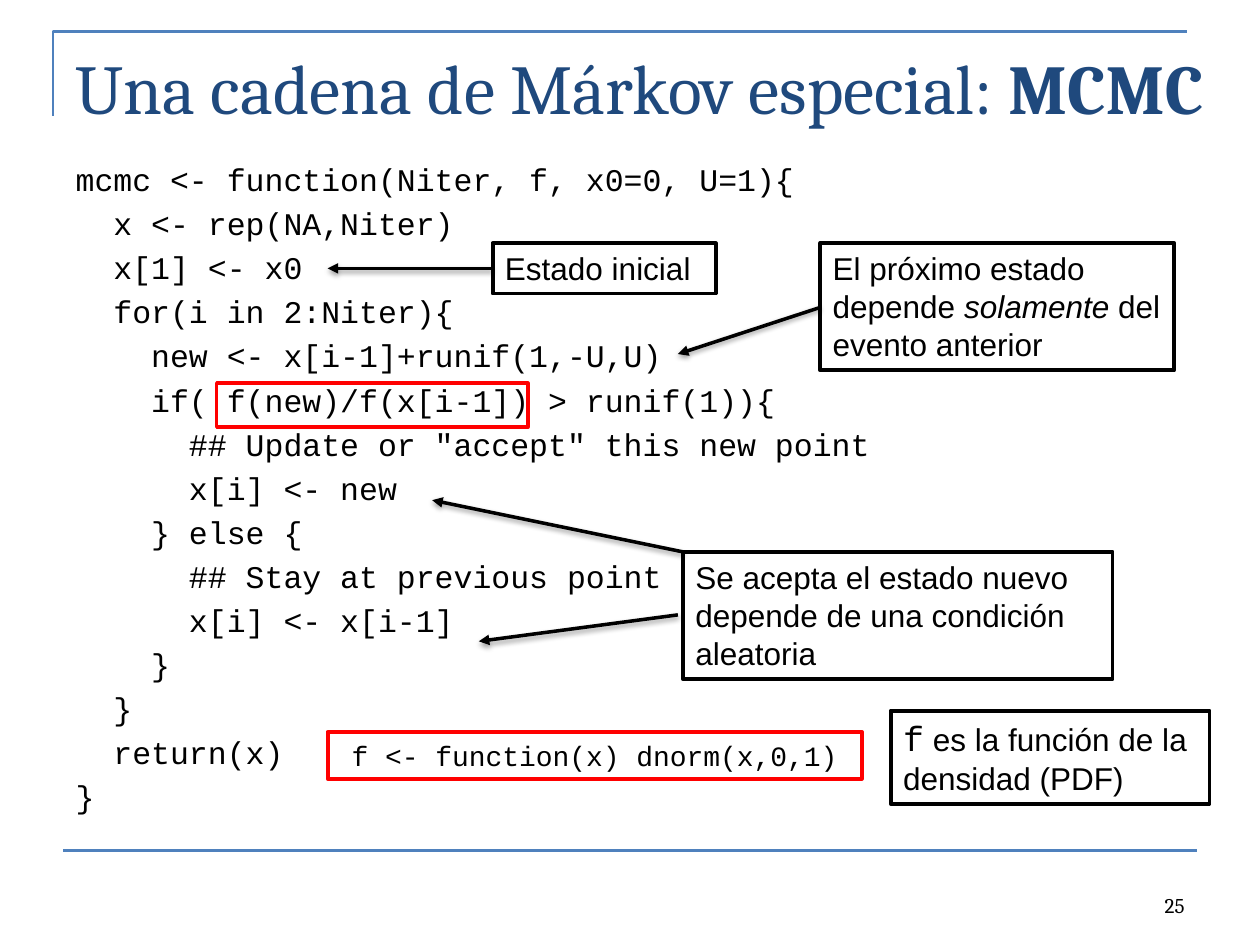
"""Build a slide that explains an MCMC function in R with callouts."""
from dataclasses import dataclass
from typing import Any, Optional

from lxml.etree import SubElement
from pptx import Presentation
from pptx.dml.color import RGBColor
from pptx.enum.shapes import MSO_CONNECTOR as Conn, MSO_SHAPE as Shape
from pptx.enum.text import MSO_ANCHOR as Anchor, MSO_AUTO_SIZE as Fit, PP_ALIGN as Align
from pptx.oxml import parse_xml
from pptx.oxml.ns import nsdecls, qn
from pptx.util import Inches, Pt

BLACK = RGBColor(0, 0, 0)
RED = RGBColor(0xFF, 0, 0)
BLUE = RGBColor(0x4F, 0x81, 0xBD)
NAVY = RGBColor(0x1F, 0x49, 0x7D)
WIDTH, HEIGHT = Inches(10), Inches(7.5)
COLS, ROWS = 100, 75

SANS = dict(name="Arial", size=Pt(18))
MONO = dict(name="Courier New", size=Pt(18))
SERIF = dict(name="Cambria", size=Pt(40))

CODE = """mcmc <- function(Niter, f, x0=0, U=1){
  x <- rep(NA,Niter)
  x[1] <- x0
  for(i in 2:Niter){
    new <- x[i-1]+runif(1,-U,U)
    if( f(new)/f(x[i-1]) > runif(1)){
      ## Update or "accept" this new point
      x[i] <- new
    } else {
      ## Stay at previous point
      x[i] <- x[i-1]
    }
  }
  return(x)
}"""

SHADOW = f"""<a:effectLst {nsdecls('a')}>
  <a:outerShdw blurRad="{Pt(3.1)}" dist="{Pt(1.6)}" dir="5400000" rotWithShape="0">
    <a:srgbClr val="000000"><a:alpha val="38000"/></a:srgbClr>
  </a:outerShdw>
</a:effectLst>"""


@dataclass(frozen=True)
class Span:
    """A stretch of text with its font values."""
    text: str
    font: dict[str, Any]


@dataclass(frozen=True)
class Box:
    """An outlined box, placed in grid columns and rows."""
    cell: tuple[float, float, float, float]
    spans: tuple[Span, ...] = ()
    color: RGBColor = BLACK
    weight: float = 2.25
    align: Optional[Align] = None


@dataclass(frozen=True)
class Arrow:
    """An arrow between two grid points."""
    start: tuple[float, float]
    end: tuple[float, float]


BOXES = (
    Box((39.1, 19.3, 17.7, 4), (Span("Estado inicial", SANS),)),
    Box((65.1, 19.3, 28.1, 10.1), (
        Span("El próximo estado depende ", SANS),
        Span("solamente", SANS | dict(italic=True)),
        Span(" del evento anterior", SANS))),
    Box((54.2, 43.8, 34.1, 10.1), (
        Span("Se acepta el estado nuevo depende de una condición aleatoria", SANS),)),
    Box((26, 58.1, 42.4, 3.7), (
        Span("f <- function(x) dnorm(x,0,1)", MONO | dict(size=Pt(16))),),
        color=RED, align=Align.CENTER),
    Box((17.2, 30.4, 24.7, 3.5), color=RED, weight=2),
    Box((70.7, 56.4, 25.3, 7.4), (
        Span("f", MONO | dict(size=Pt(20))),
        Span(" es la función de la densidad (PDF)", SANS))),
)
ARROWS = (
    Arrow((39.1, 21.3), (26, 21.3)),
    Arrow((65.1, 24.4), (53.8, 28.1)),
    Arrow((54.2, 43.8), (34.3, 39.7)),
    Arrow((53.8, 48.8), (38, 50.9)),
)


def x(col: float) -> int:
    """Return the horizontal position of a grid column."""
    return round(WIDTH * col / COLS)


def y(row: float) -> int:
    """Return the vertical position of a grid row."""
    return round(HEIGHT * row / ROWS)


def assign(target: Any, values: dict[str, Any]) -> None:
    """Set attributes from a dict."""
    for key, value in values.items():
        setattr(target, key, value)


def place(sp: Any, cell: tuple[float, float, float, float]) -> None:
    """Move and size a shape on the grid."""
    left, top, width, height = cell
    assign(sp, dict(left=x(left), top=y(top), width=x(width), height=y(height)))


def write(p: Any, spans: tuple[Span, ...], color: RGBColor = BLACK) -> None:
    """Add formatted runs to a paragraph."""
    for span in spans:
        r = p.add_run()
        r.text = span.text
        assign(r.font, span.font)
        r.font.color.rgb = color


def stroke(sp: Any, color: RGBColor, weight: float) -> None:
    """Format the line of a shape."""
    sp.line.color.rgb = color
    sp.line.width = Pt(weight)


def add_line(slide: Any, start: tuple[float, float], end: tuple[float, float],
             color: RGBColor, weight: float, effect: str) -> Any:
    """Draw a straight connector with the given effect list."""
    sp = slide.shapes.add_connector(Conn.STRAIGHT, x(start[0]), y(start[1]), x(end[0]), y(end[1]))
    stroke(sp, color, weight)
    sp._element.spPr.append(parse_xml(effect))
    return sp


def add_arrow(slide: Any, arrow: Arrow) -> None:
    """Draw a shadowed arrow."""
    sp = add_line(slide, arrow.start, arrow.end, BLACK, 2, SHADOW)
    SubElement(sp.line._get_or_add_ln(), qn("a:tailEnd"), type="triangle")


def add_box(slide: Any, box: Box) -> None:
    """Draw an outlined box with its text."""
    sp = slide.shapes.add_shape(Shape.RECTANGLE, 0, 0, 0, 0)
    place(sp, box.cell)
    sp.shadow.inherit = False
    sp.fill.background()
    stroke(sp, box.color, box.weight)
    if box.spans:
        tf = sp.text_frame
        assign(tf, dict(word_wrap=True, auto_size=Fit.SHAPE_TO_FIT_TEXT, vertical_anchor=Anchor.TOP))
        p = tf.paragraphs[0]
        p.alignment = box.align or Align.LEFT
        write(p, box.spans)


def add_frame(slide: Any) -> None:
    """Draw the corner rule at the top and the rule at the bottom."""
    builder = slide.shapes.build_freeform(x(4.2), y(9.2))
    builder.add_line_segments([(x(4.2), y(2.5)), (x(94.2), y(2.5))], close=False)
    sp = builder.convert_to_shape()
    sp.shadow.inherit = False
    sp.fill.background()
    stroke(sp, BLUE, 1.5)
    add_line(slide, (5, 67.5), (95, 67.5), BLUE, 1.5, f"<a:effectLst {nsdecls('a')}/>")


def fill_title(sp: Any) -> None:
    """Place and write the title."""
    place(sp, (5, 3, 93.1, 12.5))
    tf = sp.text_frame
    assign(tf, dict(word_wrap=True, auto_size=Fit.NONE, vertical_anchor=Anchor.TOP))
    p = tf.paragraphs[0]
    p.alignment = Align.LEFT
    write(p, (Span("Una cadena de Márkov especial: ", SERIF),
              Span("MCMC", SERIF | dict(bold=True))), NAVY)


def fill_code(sp: Any) -> None:
    """Place the body and write one unbulleted paragraph per code line."""
    place(sp, (5, 12.2, 90, 59.7))
    tf = sp.text_frame
    assign(tf, dict(word_wrap=True, auto_size=Fit.NONE))
    for i, line in enumerate(CODE.splitlines()):
        p = tf.add_paragraph() if i else tf.paragraphs[0]
        pPr = p._p.get_or_add_pPr()
        pPr.set("marL", "0")
        pPr.set("indent", "0")
        SubElement(pPr, qn("a:buNone"))
        write(p, (Span(line, MONO),))


def add_number(slide: Any) -> None:
    """Write the page number."""
    sp = slide.shapes.add_textbox(x(71.7), y(68.3), x(23.3), y(5))
    tf = sp.text_frame
    assign(tf, dict(word_wrap=True, vertical_anchor=Anchor.BOTTOM))
    p = tf.paragraphs[0]
    p.alignment = Align.RIGHT
    write(p, (Span("25", SERIF | dict(size=Pt(12))),))


def main() -> None:
    """Build and save the slide."""
    prs = Presentation()
    assign(prs, dict(slide_width=WIDTH, slide_height=HEIGHT))
    slide = prs.slides.add_slide(prs.slide_layouts[1])
    add_frame(slide)
    fill_title(slide.shapes.title)
    fill_code(slide.placeholders[1])
    add_number(slide)
    for box in BOXES:
        add_box(slide, box)
    for arrow in ARROWS:
        add_arrow(slide, arrow)
    prs.save("out.pptx")


if __name__ == "__main__":
    main()
